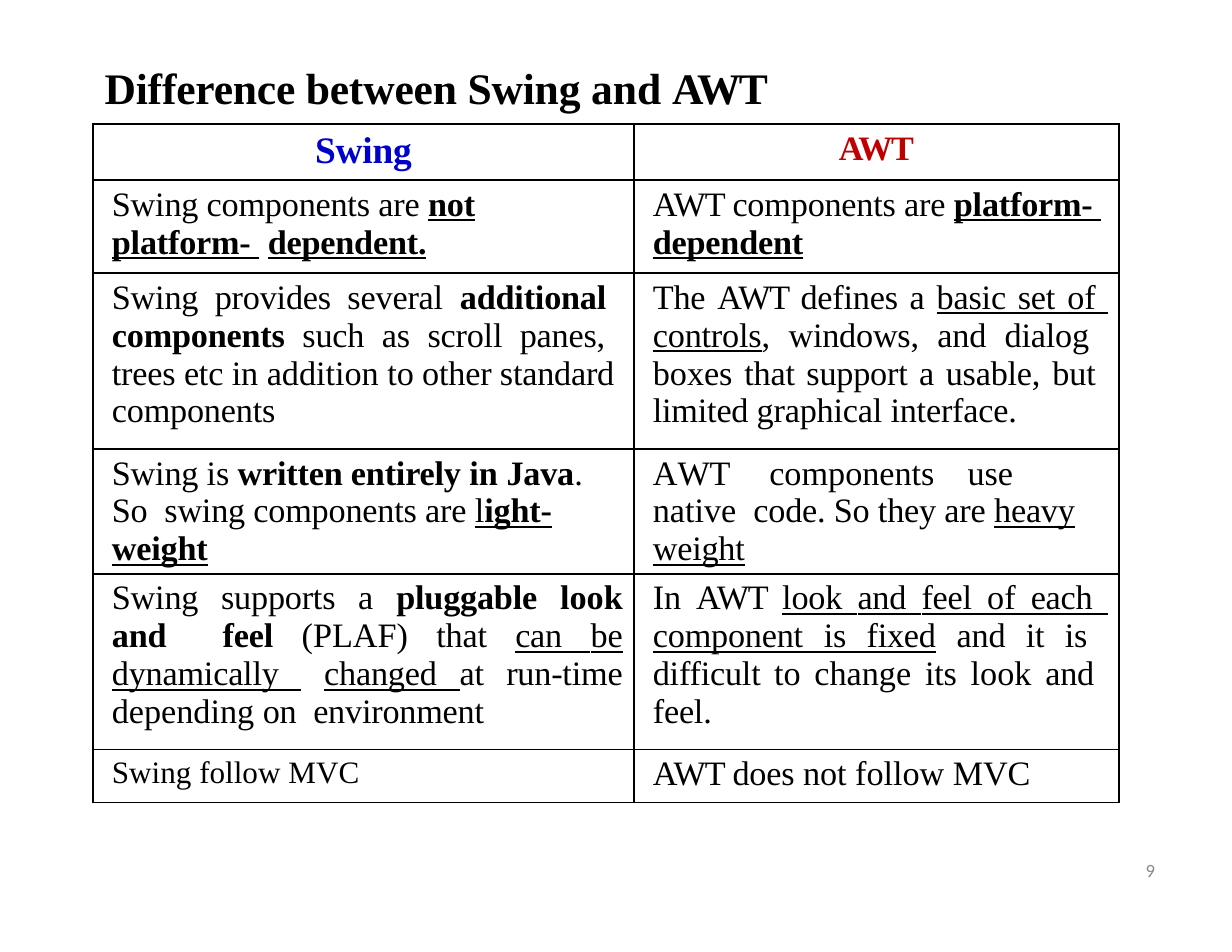
from lxml import etree
from pptx import Presentation
from pptx.dml.color import RGBColor
from pptx.enum.text import MSO_ANCHOR, MSO_AUTO_SIZE, PP_ALIGN
from pptx.oxml.ns import qn
from pptx.util import Pt

TOP, NONE = MSO_ANCHOR.TOP, MSO_AUTO_SIZE.NONE
LEFT, MID, JUST = PP_ALIGN.LEFT, PP_ALIGN.CENTER, PP_ALIGN.JUSTIFY

theme = {
    "serif": "Times New Roman", "sans": "Calibri",
    "ink": "000000", "blue": "0000CC", "red": "C00000", "gray": "898989",
    "title": 28, "head": 24, "body": 22, "small": 20, "page": 12,
    "thick": 1.47, "thin": 0.96,
}


def add_run(para, text, style="", gap=-0.1, size="body", ink="ink", face="serif"):
    run = para.add_run()
    run.text = text
    font = run.font
    font.name = theme[face]
    font.size = Pt(theme[size])
    font.color.rgb = RGBColor.from_string(theme[ink])
    font.bold = "b" in style
    font.underline = "u" in style
    if gap:
        run._r.get_or_add_rPr().set("spc", str(round(gap * 100)))


def add_edge(props, side, width):
    line = etree.SubElement(props, qn("a:ln" + side), w=str(Pt(width)))
    fill = etree.SubElement(line, qn("a:solidFill"))
    etree.SubElement(fill, qn("a:srgbClr"), val=theme["ink"])


deck = Presentation()
deck.slide_width, deck.slide_height = Pt(792), Pt(612)
slide = deck.slides.add_slide(deck.slide_layouts[5])

title = slide.shapes.title
title.left, title.top, title.width, title.height = Pt(66.24), Pt(38.16), Pt(432), Pt(102.96)
frame = title.text_frame
frame.auto_size, frame.vertical_anchor, frame.word_wrap = NONE, TOP, True
frame.margin_left = frame.margin_right = frame.margin_bottom = 0
frame.margin_top = Pt(0.95)
para = frame.paragraphs[0]
para.alignment, para.space_before = LEFT, Pt(1)
para._p.get_or_add_pPr().set("marL", str(Pt(1)))
for text, gap in [("Difference between Swing ", -0.1), ("and ", 0), ("AWT", -1.1)]:
    add_run(para, text, "b", gap, "title")

cols = [347.76, 311.76]
rows = [36, 59.76, 113.04, 77.76, 113.04, 33.84]
cells = [
    [
        (MID, 0.9, [("Swing", "b", -0.1, "head", "blue")]),
        (MID, 1.1, [("AWT", "b", -0.9, "body", "red")]),
    ],
    [
        (LEFT, 1.1, [
            ("Swing components are ",), ("not", "bu"), (" ", "bu", 1.2),
            ("platform- ", "bu"), (" ", "b", -5.4), ("dependent.", "bu")]),
        (LEFT, 1.1, [
            ("AWT ", "", -0.7), ("components are ",), ("platform- ", "bu"),
            (" ", "b", -5.4), ("dependent", "bu")]),
    ],
    [
        (JUST, 2.8, [
            ("Swing provides several ",), ("additional  components ", "b"),
            ("such as scroll panes,  trees etc in ",), ("addition ", "", 0),
            ("to other standard  components",)]),
        (JUST, 2.8, [
            ("The ",), ("AWT ", "", -0.7), ("defines a ",), ("basic set ", "u"),
            ("of ", "u", 0), (" ", "", 0), ("controls", "u"),
            (", windows, and dialog  ",), ("boxes ", "", 0),
            ("that support a usable, ",), ("but  ", "", 0),
            ("limited graphical interface.",)]),
    ],
    [
        (LEFT, 1.1, [
            ("Swing is ",), ("written entirely ", "b"), ("in ", "b", 0), ("Java", "b"),
            (". So  swing components are ",), ("l", "u"), ("ight-weight", "bu")]),
        (LEFT, 1.1, [
            ("A", "", -1.9), ("WT\tcomponents\tuse\tnative  ", "", 0),
            ("code. So they are ",), ("heavy", "u"), (" ", "u", 0), ("weight", "u")]),
    ],
    [
        (JUST, 1.1, [
            ("Swing supports a ",), ("pluggable ", "b"), ("look ", "b", 0),
            ("and  feel ", "b"), ("(PLAF) ", "", 0), ("that ",), ("can ", "u"),
            ("be ", "u", 0), ("dynamically ", "u"), (" ", "", 0), ("changed", "u"),
            (" ", "u", 0), ("at run-time",), (" depending ", "", 0),
            ("on  environment",)]),
        (JUST, 1.1, [
            ("In ",), ("AWT ", "", -0.7), ("look", "u"), (" ", "u", 0), ("and", "u"),
            (" ", "u", 0), ("feel", "u"), (" of ", "u", 0), ("each ", "u"), (" ",),
            ("component", "u"), (" ", "u", 0), ("is fixed", "u"), (" ", "", 0),
            ("and it is  difficult to",), (" change ", "", 0), ("its",),
            (" look ", "", 0), ("and  feel.",)]),
    ],
    [
        (LEFT, 1.4, [("Swing follow MVC", "", 0, "small")]),
        (LEFT, 1.1, [
            ("AWT ", "", -0.7), ("does ",), ("not follow ", "", 0), ("MVC",)]),
    ],
]

table = slide.shapes.add_table(
    len(rows), len(cols), Pt(59.76), Pt(79.92), Pt(sum(cols)), Pt(sum(rows))).table
table.first_row = table.horz_banding = False
for col, width in zip(table.columns, cols):
    col.width = Pt(width)
for row, height in zip(table.rows, rows):
    row.height = Pt(height)

for r, pair in enumerate(cells):
    for c, (align, before, runs) in enumerate(pair):
        cell = table.cell(r, c)
        props = cell._tc.get_or_add_tcPr()
        above = theme["thin" if r > 3 else "thick"]
        below = theme["thin" if r > 2 else "thick"]
        for side, width in zip("LRTB", (theme["thick"], theme["thick"], above, below)):
            add_edge(props, side, width)
        cell.fill.background()
        para = cell.text_frame.paragraphs[0]
        para.alignment, para.space_before = align, Pt(before)
        if r:
            para._p.get_or_add_pPr().set("marL", str(Pt(5)))
        for run in runs:
            add_run(para, *run)

para = table.cell(3, 1).text_frame.paragraphs[0]
tabs = etree.SubElement(para._p.get_or_add_pPr(), qn("a:tabLst"))
for stop in (74.88, 202.32, 252.72):
    etree.SubElement(tabs, qn("a:tab"), pos=str(Pt(stop)), algn="l")

page = slide.shapes.add_textbox(Pt(598.32), Pt(554.4), Pt(146.88), Pt(14))
frame = page.text_frame
frame.word_wrap = True
frame.margin_left = frame.margin_right = frame.margin_top = frame.margin_bottom = 0
para = frame.paragraphs[0]
para.line_spacing = Pt(12.4)
para._p.get_or_add_pPr().set("marL", str(Pt(138.24)))
add_run(para, "9", "", 0, "page", "gray", "sans")

deck.save("out.pptx")
